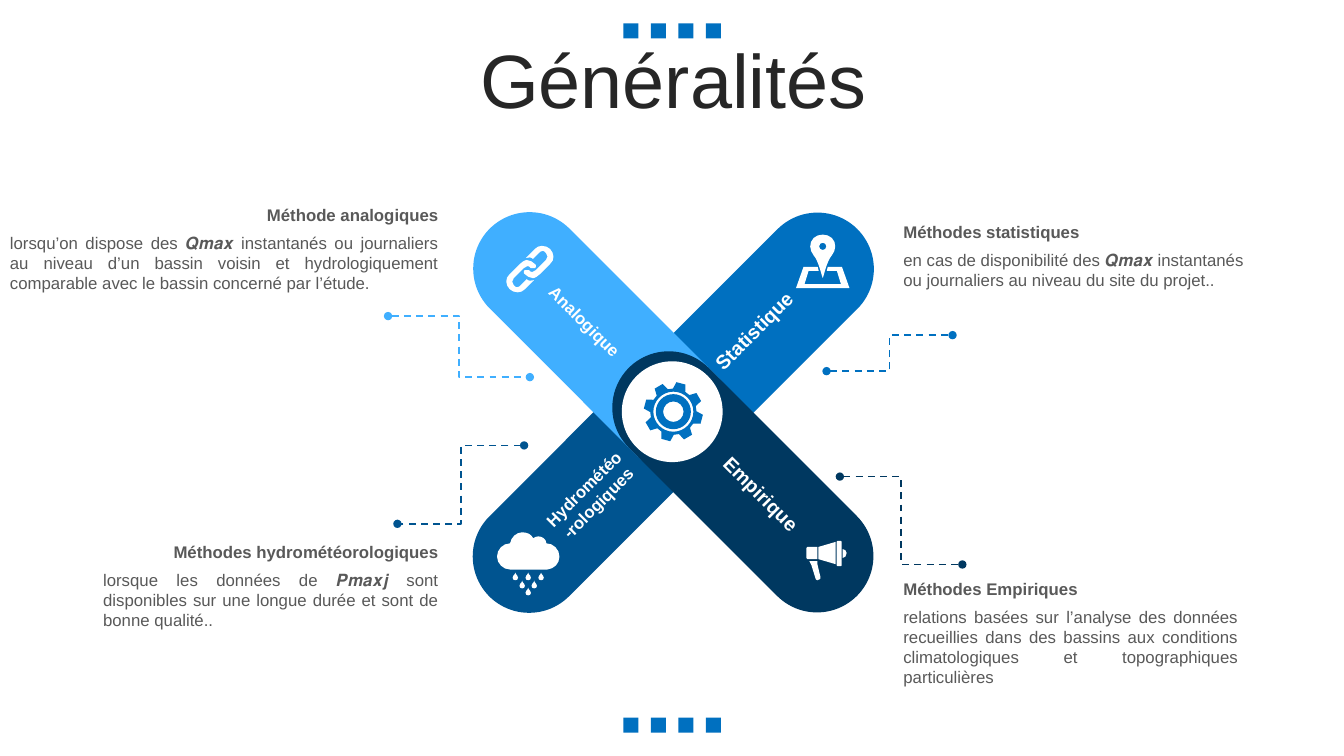
from dataclasses import dataclass
from math import cos, radians, sin

from lxml import etree
from pptx import Presentation
from pptx.dml.color import RGBColor
from pptx.enum.dml import MSO_LINE
from pptx.enum.shapes import MSO_CONNECTOR, MSO_SHAPE
from pptx.enum.text import MSO_ANCHOR, MSO_AUTO_SIZE, PP_ALIGN
from pptx.oxml.ns import qn
from pptx.util import Pt

LEFT, RIGHT, CENTER, JUSTIFY = PP_ALIGN.LEFT, PP_ALIGN.RIGHT, PP_ALIGN.CENTER, PP_ALIGN.JUSTIFY
RECTANGLE, ROUNDED, OVAL = MSO_SHAPE.RECTANGLE, MSO_SHAPE.ROUNDED_RECTANGLE, MSO_SHAPE.OVAL
ELBOW, DASH = MSO_CONNECTOR.ELBOW, MSO_LINE.DASH
MIDDLE, NO_AUTOFIT = MSO_ANCHOR.MIDDLE, MSO_AUTO_SIZE.NONE
FONT = "Arial"
COLORS = {"accent": "0070C0", "light": "40AFFF", "medium": "005490", "dark": "003860",
          "title": "262626", "text": "595959", "white": "FFFFFF"}

Point = tuple[float, float]
Box = tuple[float, float, float, float]
Outline = list[tuple[float, ...]]


@dataclass
class Note:
    heading: str
    body: str
    left: float
    top: float
    width: float
    height: float
    heading_align: PP_ALIGN
    body_align: PP_ALIGN


@dataclass
class Method:
    color: str
    arm: Box
    arm_turn: float
    label: str
    label_box: Box
    label_turn: float
    label_size: float
    leader: Box
    note: Note


@dataclass
class Icon:
    center: Point
    color: str
    contours: list[Outline]


METHODS = [
    Method("accent", (493.2, 131, 80.6, 223.2), 45,
           "Statistique", (495.4, 223.9, 86.4, 24.5), 315, 14, (590.4, 265.1, 680.4, 239.4),
           Note("Méthodes statistiques",
                "en cas de disponibilité des 𝑸𝒎𝒂𝒙 instantanés ou journaliers au niveau du site du projet..",
                638.2, 154.8, 263.5, 36, LEFT, LEFT)),
    Method("medium", (388.1, 235.4, 80.6, 223.2), 225,
           "Hydrométéo-rologiques", (378.7, 336.2, 86.4, 36), 315, 12, (374.4, 318.2, 283.9, 374.2),
           Note("Méthodes hydrométéorologiques",
                "lorsque les données de 𝑷𝒎𝒂𝒙𝒋 sont disponibles sur une longue durée et sont de bonne qualité..",
                66.6, 383.6, 253.8, 51, RIGHT, JUSTIFY)),
    Method("light", (391, 129.6, 80.6, 230.4), 315,
           "Analogique", (374.4, 218.9, 86.4, 21.6), 45, 12, (277.2, 225.8, 378.5, 269.4),
           Note("Méthode analogiques",
                "lorsqu’on dispose des 𝑸𝒎𝒂𝒙 instantanés ou journaliers au niveau d’un bassin voisin et "
                "hydrologiquement comparable avec le bassin concerné par l’étude.",
                0, 143, 320.4, 51, RIGHT, JUSTIFY)),
    Method("dark", (490.3, 229, 80.6, 230.4), 135,
           "Empirique", (500.4, 340.6, 86.4, 24.5), 45, 14, (599.9, 340.4, 687.4, 403.2),
           Note("Méthodes Empiriques",
                "relations basées sur l’analyse des données recueillies dans des bassins aux conditions "
                "climatologiques et topographiques particulières",
                638.2, 409.7, 253.4, 65.5, LEFT, JUSTIFY)),
]

CHAIN_LINK: Outline = [
    (-2.2, -6.5), (0, -6.5, 2.2, -5, 3.6, -3.6), (4.3, -3.6, 4.3, -3.6, 4.3, -2.9),
    (5, -0.7, 2.9, 0, 1.4, -0.7), (0.7, -0.7), (-0.7, -2.9, -2.9, -2.2, -4.3, -0.7),
    (-11.5, 6.5), (-13, 7.9, -13, 10.1, -11.5, 11.5), (-10.8, 12.2, -10.1, 13, -9.4, 13),
    (-7.9, 13, -7.2, 12.2, -6.5, 11.5), (-2.2, 7.2), (-1.4, 8.6, 1.4, 8.6, 2.9, 7.9),
    (-3.6, 14.4), (-5, 15.8, -6.5, 16.6, -8.6, 16.6), (-10.8, 16.6, -13, 15.8, -14.4, 14.4),
    (-17.3, 11.5, -18, 6.5, -14.4, 3.6), (-7.2, -3.6), (-5.8, -5, -3.6, -6.5, -2.2, -6.5)]
PIN: Outline = [
    (0, 0), (2.5, 0, 4.8, 0.8, 6.5, 2.4), (9.9, 5.8, 9.6, 11, 6.5, 14.8),
    (2.9, 18.7, 0.6, 30.2, 0, 31), (-0.6, 30.2, -2.9, 18.7, -6.5, 14.8),
    (-9.6, 11, -9.9, 5.8, -6.5, 2.4), (-4.8, 0.8, -2.5, 0, 0, 0)]
MAP_SHEET: Outline = [
    (-13.7, 23), (-3.6, 23), (-2.9, 25.9), (-10.1, 25.9), (-13, 35.3), (13, 35.3),
    (10.1, 25.9), (2.9, 25.9), (3.6, 23), (13.7, 23), (19.1, 38.2), (-19.1, 38.2)]
MEGAPHONE: list[Outline] = [
    [(7.9, 14.4), (7.9, 16.6), (10.1, 25.9), (10.1, 26.6, 10.1, 27.4, 9.4, 27.4), (7.9, 28.1),
     (7.2, 28.1, 6.5, 27.4, 6.5, 26.6), (3.6, 17.3), (2.2, 14.4)],
    [(25.9, 5.8), (27.4, 5.8, 28.8, 7.2, 28.8, 8.6), (28.8, 10.8, 27.4, 12.2, 25.9, 12.2)],
    [(0.8, 4.3), (7.9, 4.3), (7.9, 13), (0.8, 13), (0, 12.2), (0, 5)],
    [(20.9, 0.7), (20.9, 16.6), (8.6, 13), (8.6, 4.3)],
    [(22.2, 0), (24.7, 0), (25.2, 0.5), (25.2, 17.5), (24.7, 18), (22.2, 18), (21.7, 17.5), (21.7, 0.5)]]
CLOUD: Outline = [
    (-4.3, 0), (-0.7, 0, 2.2, 1.4, 3.6, 4.3), (4.3, 3.6, 5.8, 2.9, 7.2, 2.9),
    (10.1, 2.9, 13, 5, 13, 7.9), (18, 7.9, 22.3, 12.2, 22.3, 17.3),
    (22.3, 22.3, 18.7, 26, 13.7, 26.6), (-13, 26.6), (-18, 26.6, -22.3, 22.3, -22.3, 17.3),
    (-22.3, 12.2, -18, 7.9, -13, 7.9), (-12.2, 3.6, -8.6, 0, -4.3, 0)]
RAINDROP: Outline = [
    (0, 0), (0, 0.7, 0.7, 1.4, 1.4, 2.2), (2.2, 3.2, 2, 4.2, 1.4, 5),
    (0.7, 5.6, -0.7, 5.6, -1.4, 5), (-2, 4.2, -2.2, 3.2, -1.4, 2.2), (-0.7, 1.4, 0, 0.7, 0, 0)]
RAIN_STARTS: list[Point] = [(-9.2, 28.8), (0, 28.8), (9.2, 28.8), (-4.3, 34.6), (4.3, 34.6), (0, 39.6)]


def shift(outline: Outline, offset: Point) -> Outline:
    """Move an outline."""
    return [tuple(value + offset[i % 2] for i, value in enumerate(segment)) for segment in outline]


def polar(radius: float, angle: float) -> Point:
    """Return the point at a radius and an angle in degrees."""
    return radius * cos(radians(angle)), radius * sin(radians(angle))


def ring(r: float) -> Outline:
    """Return a circle of four curves."""
    k = 0.55 * r
    return [(r, 0), (r, k, k, r, 0, r), (-k, r, -r, k, -r, 0), (-r, -k, -k, -r, 0, -r), (k, -r, r, -k, r, 0)]


def gear() -> list[Outline]:
    """Return an eight-toothed wheel with its three inner rings."""
    teeth = [polar(radius, 45 * tooth + 15 + offset) for tooth in range(8)
             for radius, offset in ((16.5, -16), (21.2, -9), (21.2, 9), (16.5, 16))]
    return [teeth, ring(14.3), ring(12.5), ring(7.3)]


def paint(shape, color: str) -> None:
    """Give a shape a flat fill without line or shadow."""
    shape.shadow.inherit = False
    shape.fill.solid()
    shape.fill.fore_color.rgb = RGBColor.from_string(COLORS[color])
    shape.line.fill.background()


def add_block(slide, kind: MSO_SHAPE, box: Box, color: str, turn: float = 0):
    """Add a filled preset shape."""
    block = slide.shapes.add_shape(kind, *map(Pt, box))
    block.rotation = turn
    paint(block, color)
    return block


def write(frame, text: str, size: float, color: str, align: PP_ALIGN, bold: bool = False) -> None:
    """Set and format one wrapped paragraph."""
    frame.word_wrap = True
    frame.text = text
    paragraph = frame.paragraphs[0]
    paragraph.alignment = align
    font = paragraph.runs[0].font
    font.name, font.size, font.bold = FONT, Pt(size), bold
    font.color.rgb = RGBColor.from_string(COLORS[color])


def add_text(slide, box: Box, text: str, size: float, color: str, align: PP_ALIGN,
             bold: bool = False, turn: float = 0) -> None:
    """Add a text box."""
    text_box = slide.shapes.add_textbox(*map(Pt, box))
    text_box.rotation = turn
    write(text_box.text_frame, text, size, color, align, bold)


def add_leader(slide, ends: Box, color: str) -> None:
    """Add a dashed elbow line with a dot at each end."""
    leader = slide.shapes.add_connector(ELBOW, *map(Pt, ends))
    leader.line.color.rgb = RGBColor.from_string(COLORS[color])
    leader.line.width = Pt(1.25)
    leader.line.dash_style = DASH
    for tag in ("a:headEnd", "a:tailEnd"):
        etree.SubElement(leader.line._get_or_add_ln(), qn(tag), type="oval")
    etree.SubElement(leader._element.spPr, qn("a:effectLst"))


def add_icon(slide, icon: Icon) -> None:
    """Add an icon as one outline, joining each curve's three points into a Bézier segment."""
    placed = [shift(contour, icon.center) for contour in icon.contours]
    builder = slide.shapes.build_freeform(*map(Pt, placed[0][0]))
    for start, *segments in placed:
        builder.move_to(*map(Pt, start))
        points = [(Pt(s[i]), Pt(s[i + 1])) for s in segments for i in range(0, len(s), 2)]
        builder.add_line_segments(points, close=True)
    outline = builder.convert_to_shape()
    paint(outline, icon.color)
    lines = iter(list(outline._element.iter(qn("a:lnTo"))))
    for segment in (s for contour in placed for s in contour[1:]):
        line = next(lines)
        if len(segment) == 6:
            line.tag = qn("a:cubicBezTo")
            for control in (next(lines), next(lines)):
                line.append(control[0])
                control.getparent().remove(control)


def add_note(slide, note: Note) -> None:
    """Add a bold heading with its explanation below."""
    add_text(slide, (note.left, note.top, note.width, 21.6), note.heading, 12, "text", note.heading_align, True)
    add_text(slide, (note.left, note.top + 19.8, note.width, note.height), note.body, 12, "text", note.body_align)


def main() -> None:
    """Build the slide and save it."""
    deck = Presentation()
    deck.slide_width, deck.slide_height = Pt(960), Pt(540)
    slide = deck.slides.add_slide(deck.slide_layouts[5])
    for top in (16.7, 512.6):
        for column in range(4):
            add_block(slide, RECTANGLE, (445.3 + 19.6 * column, top, 10.8, 10.8), "accent")
    title = slide.shapes.title
    title.left, title.top, title.width, title.height = map(Pt, (25.2, 31.7, 911.5, 56.9))
    write(title.text_frame, "Généralités", 54, "title", CENTER)
    title.text_frame.auto_size = NO_AUTOFIT
    title.text_frame.vertical_anchor = MIDDLE
    title.text_frame.paragraphs[0].line_spacing = 0.9
    for method in METHODS:
        add_block(slide, ROUNDED, method.arm, method.color, method.arm_turn).adjustments[0] = 0.5
    add_block(slide, OVAL, (444.2, 258.1, 72, 72), "white")
    for method in METHODS:
        add_note(slide, method.note)
        add_leader(slide, method.leader, method.color)
        add_text(slide, method.label_box, method.label, method.label_size, "white", CENTER, True, method.label_turn)
    opposite_link = [tuple(-value for value in segment) for segment in CHAIN_LINK]
    for icon in (
        Icon((481, 294.1), "accent", gear()),
        Icon((576, 386.4), "white", MEGAPHONE),
        Icon((587.7, 167.6), "white", [MAP_SHEET, PIN, shift(ring(2.6), (0, 8.4))]),
        Icon((378.5, 192.2), "white", [CHAIN_LINK, opposite_link]),
        Icon((377.3, 380.2), "white", [CLOUD, *(shift(RAINDROP, start) for start in RAIN_STARTS)]),
    ):
        add_icon(slide, icon)
    deck.save("out.pptx")


if __name__ == "__main__":
    main()
